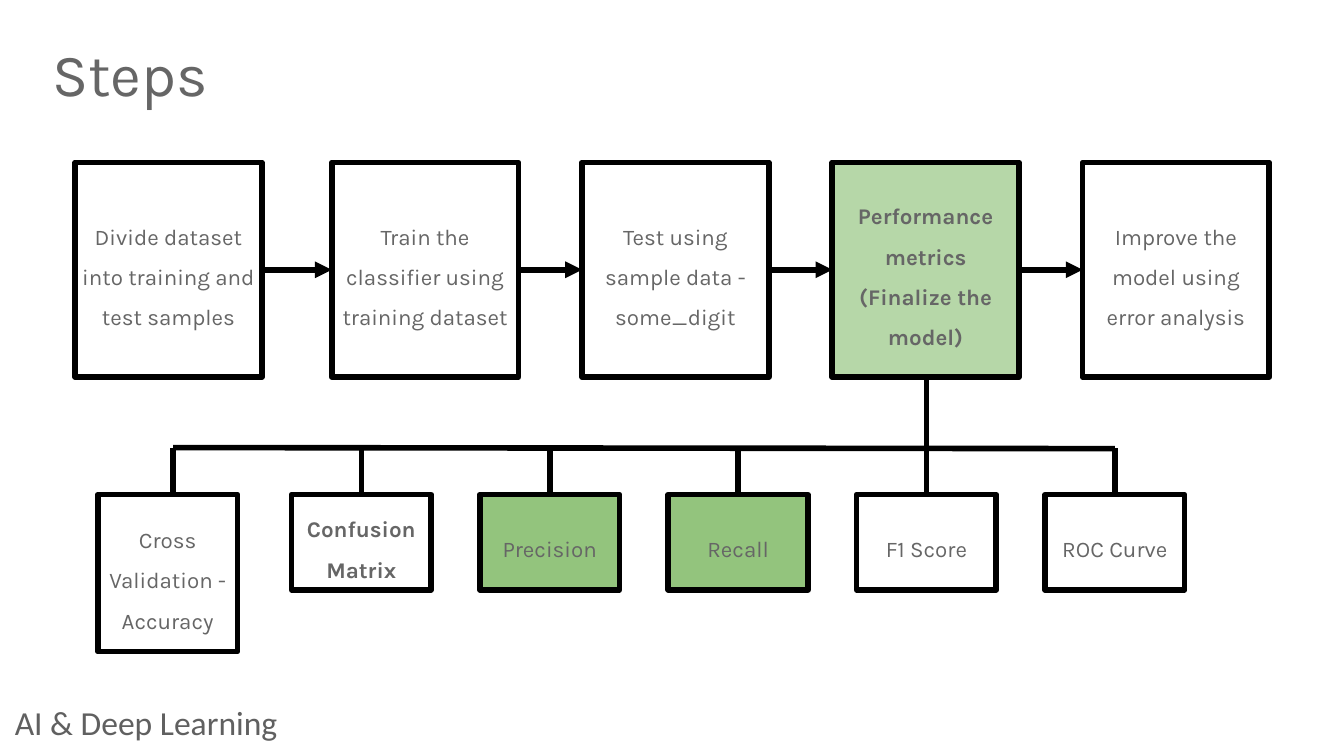
import pptx
import pptx.dml.color
import pptx.enum.shapes
import pptx.enum.text
import pptx.oxml
import pptx.oxml.ns
import pptx.util
from pptx.util import Cm

COLORS = {"text": "666666", "footer": "606060", "line": "000000", "white": "FFFFFF",
          "light_green": "B6D7A8", "green": "93C47D"}

# Text, fill, bold
STEPS = [
    ("Divide dataset into training and test samples", None, False),
    ("Train the classifier using training dataset", None, False),
    ("Test using sample data - some_digit", None, False),
    ("Performance metrics (Finalize the model)", "light_green", True),
    ("Improve the model using error analysis", None, False),
]
METRICS = [
    ("Cross Validation - Accuracy", None, False),
    ("Confusion Matrix", "white", True),
    ("Precision", "green", False),
    ("Recall", "green", False),
    ("F1 Score", None, False),
    ("ROC Curve", None, False),
]

STEP_LEFTS = [1.42] + [6.27 + 4.73 * i for i in range(4)]
STEP_TOP, STEP_W, STEP_H = 3.07, 3.53, 4.06
STEP_MID, STEP_BOTTOM = STEP_TOP + STEP_H / 2, STEP_TOP + STEP_H

DROP_XS = [3.27 + 3.56 * i for i in range(len(METRICS))]
METRIC_TOP, METRIC_W, METRIC_H, TALL_H = 9.35, 2.64, 1.8, 2.97
BAR_Y = 8.47
F1 = 4  # its line runs up to the performance step


def rgb(name):
    return pptx.dml.color.RGBColor.from_string(COLORS[name])


def write(sp, text, size=12, font="Karla", color="text", bold=False,
          align=None, spacing=None, inset=0.1):
    tf = sp.text_frame
    tf.word_wrap = True
    tf.vertical_anchor = pptx.enum.text.MSO_ANCHOR.MIDDLE
    tf.margin_left = tf.margin_right = tf.margin_top = tf.margin_bottom = Cm(inset)
    p = tf.paragraphs[0]
    p.alignment = align
    p.line_spacing = spacing
    r = p.add_run()
    r.text = text
    r.font.name = font
    r.font.size = pptx.util.Pt(size)
    r.font.bold = bold
    r.font.color.rgb = rgb(color)


def add_text(s, x, y, w, h, text, **fmt):
    write(s.shapes.add_textbox(Cm(x), Cm(y), Cm(w), Cm(h)), text, **fmt)


def add_box(s, x, y, w, h, text, fill, bold):
    sp = s.shapes.add_shape(pptx.enum.shapes.MSO_SHAPE.RECTANGLE,
                            Cm(x), Cm(y), Cm(w), Cm(h))
    sp.shadow.inherit = False
    if fill:
        sp.fill.solid()
        sp.fill.fore_color.rgb = rgb(fill)
    else:
        sp.fill.background()
    sp.line.color.rgb = rgb("line")
    sp.line.width = pptx.util.Pt(3)
    write(sp, text, bold=bold, align=pptx.enum.text.PP_ALIGN.CENTER, spacing=1.5)


def add_line(s, x1, y1, x2, y2, arrow=False):
    c = s.shapes.add_connector(pptx.enum.shapes.MSO_CONNECTOR.STRAIGHT,
                               Cm(x1), Cm(y1), Cm(x2), Cm(y2))
    c.line.color.rgb = rgb("line")
    c.line.width = pptx.util.Pt(3)
    if arrow:
        ln = c.line._get_or_add_ln()
        ln.append(pptx.oxml.parse_xml(
            f'<a:tailEnd {pptx.oxml.ns.nsdecls("a")} type="triangle"/>'))
    c._element.spPr.append(pptx.oxml.parse_xml(
        f'<a:effectLst {pptx.oxml.ns.nsdecls("a")}/>'))


def main():
    prs = pptx.Presentation()
    prs.slide_width, prs.slide_height = Cm(25.4), Cm(14.29)
    s = prs.slides.add_slide(prs.slide_layouts[6])

    # Footer and title
    add_text(s, 0.18, 13.36, 7.24, 0.58, "AI & Deep Learning",
             size=18, font="Calibri", color="footer")
    add_text(s, 0.99, 0.61, 23.42, 1.7, "Steps", size=32, spacing=0.9, inset=0)

    # Row of steps, joined by arrows
    for x, step in zip(STEP_LEFTS, STEPS):
        add_box(s, x, STEP_TOP, STEP_W, STEP_H, *step)
    for x, following in zip(STEP_LEFTS, STEP_LEFTS[1:]):
        add_line(s, x + STEP_W, STEP_MID, following, STEP_MID, arrow=True)

    # Metrics hanging from a shared bar
    for i, (x, metric) in enumerate(zip(DROP_XS, METRICS)):
        left = x - METRIC_W / 2 if i else 1.85
        add_box(s, left, METRIC_TOP, METRIC_W, METRIC_H if i else TALL_H, *metric)
        add_line(s, x, METRIC_TOP, x, STEP_BOTTOM if i == F1 else BAR_Y)
    add_line(s, DROP_XS[-1], BAR_Y + 0.01, DROP_XS[0], BAR_Y - 0.01)

    prs.save("out.pptx")


if __name__ == "__main__":
    main()
